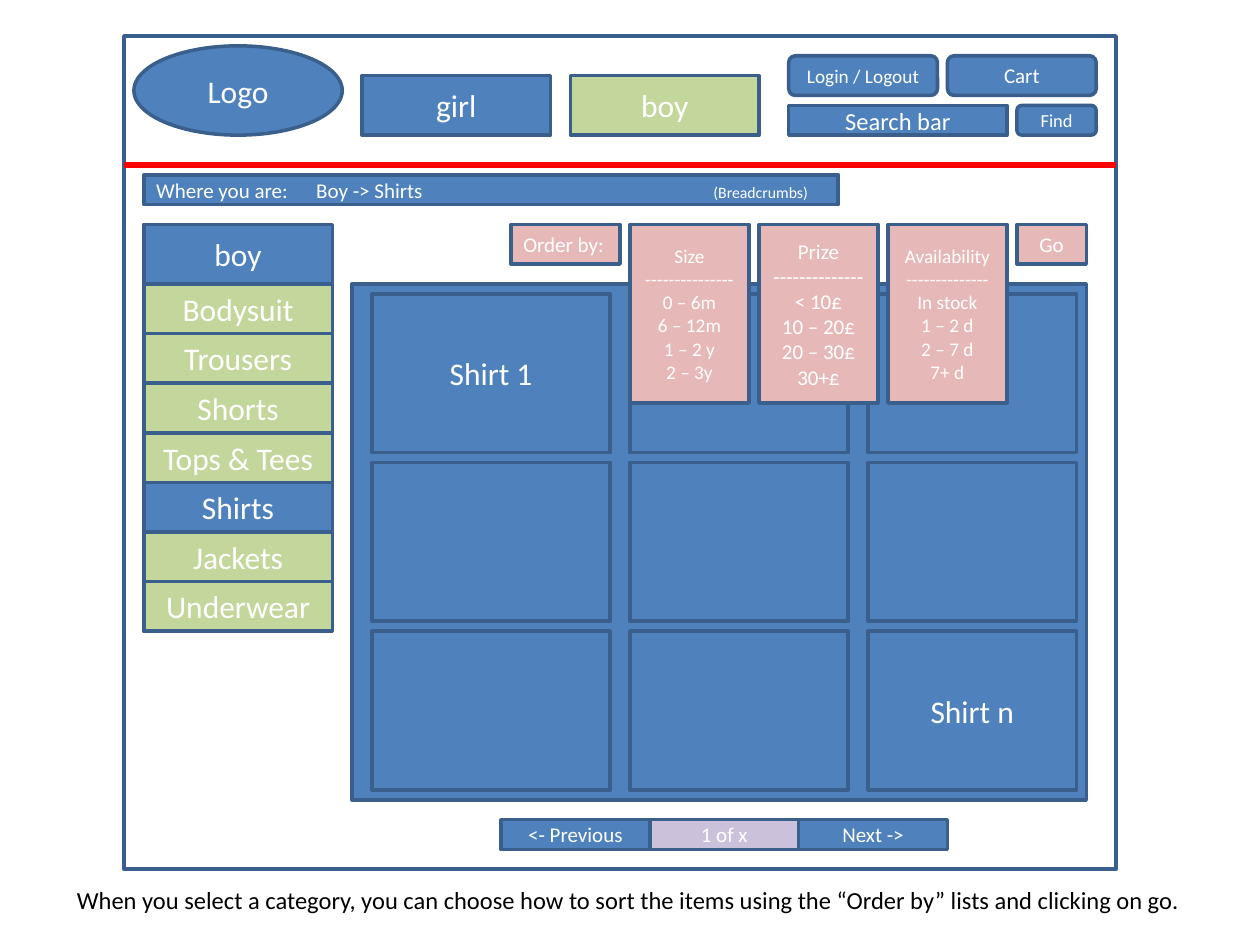
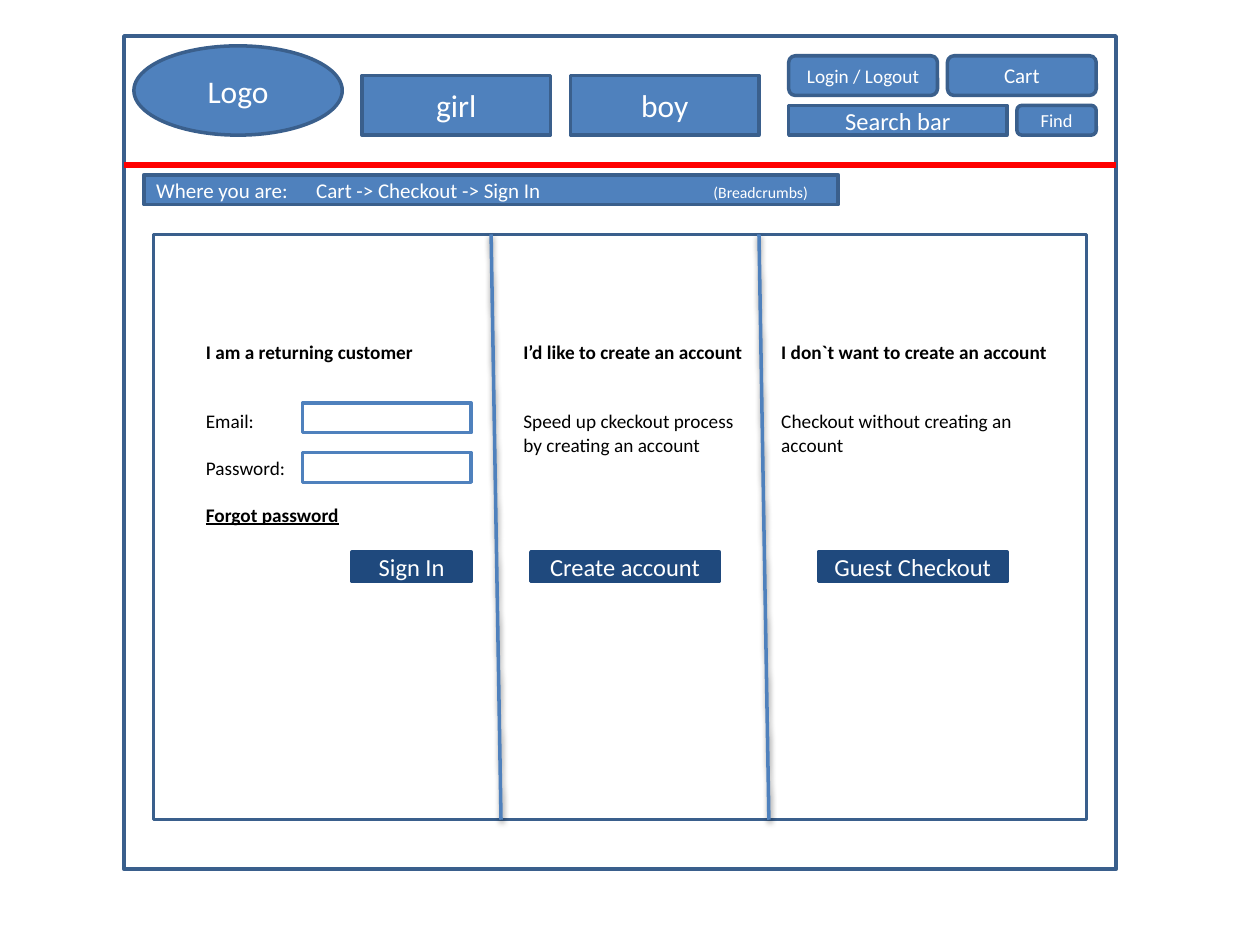
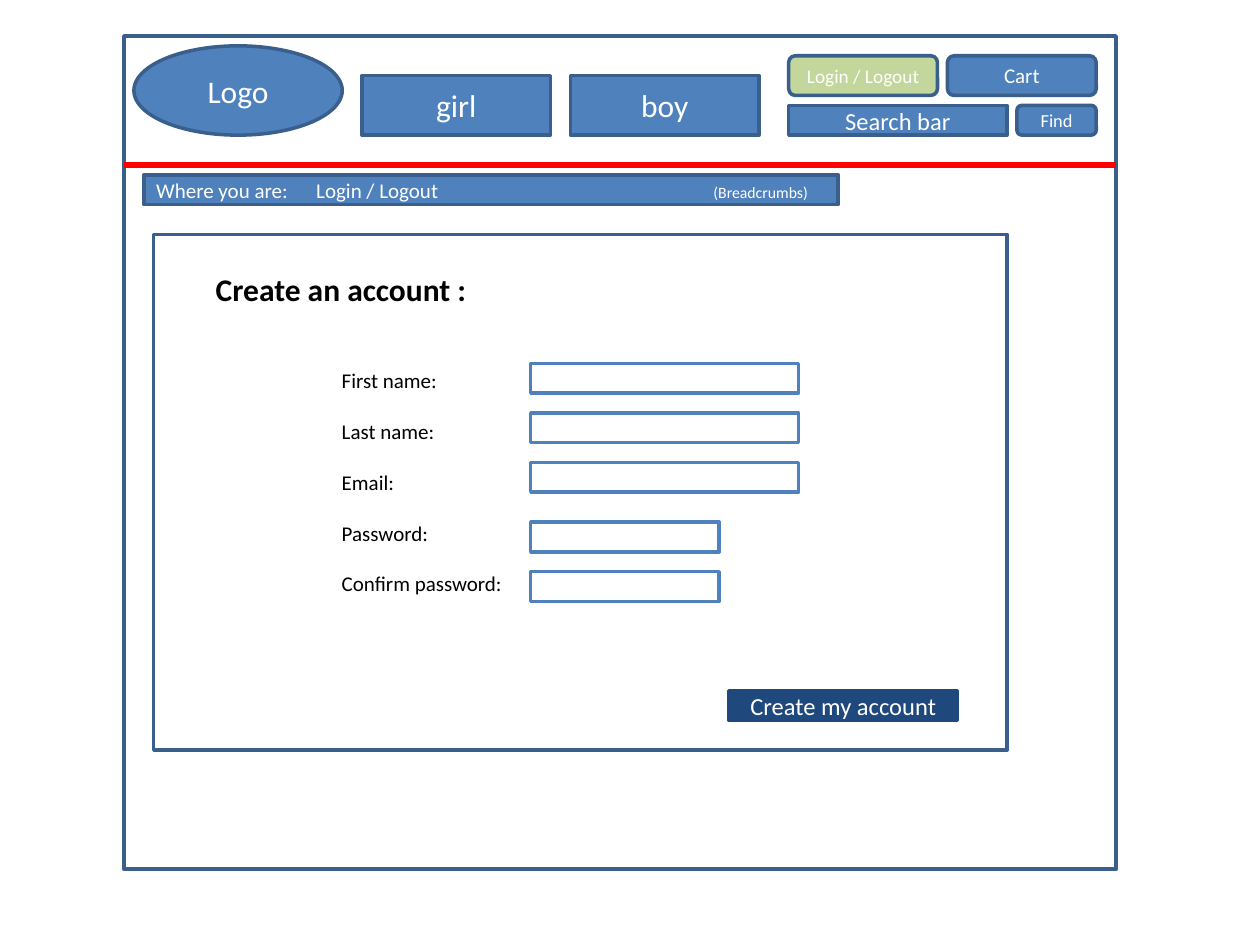
"""Wireframes of a children's clothes shop, laid out on one grid of square cells."""
from dataclasses import dataclass

import pptx
import pptx.dml.color
import pptx.enum.shapes
import pptx.enum.text
import pptx.oxml
import pptx.oxml.ns
import pptx.util

SHAPE = pptx.enum.shapes.MSO_SHAPE
ALIGN = pptx.enum.text.PP_ALIGN


@dataclass(frozen=True)
class Theme:
    """Colours, type sizes and line widths of the deck."""
    font: str = "Calibri"
    blue: str = "4F81BD"
    edge: str = "3A5F8C"
    navy: str = "1F497D"
    green: str = "C3D69B"
    pink: str = "E6B9B8"
    lilac: str = "CCC1DA"
    red: str = "FF0000"
    white: str = "FFFFFF"
    black: str = "000000"
    big: float = 18
    button: float = 14
    normal: float = 12
    small: float = 11
    find: float = 10.5
    tiny: float = 9
    line: float = 2
    rule: float = 3
    spacing: float = 1.22  # line height as a share of the type size


T = Theme()

# The page frame is 100 columns by 84 rows of 2 mm cells.
CELL, LEFT, TOP = 2, 25, 7.25
COLS, ROWS = 100, 84


def x(col):
    """Slide position of a column."""
    return pptx.util.Mm(LEFT + col * CELL)


def y(row):
    """Slide position of a row."""
    return pptx.util.Mm(TOP + row * CELL)


def area(col, row, cols, rows):
    """Left, top, width and height of a block of cells."""
    return x(col), y(row), pptx.util.Mm(cols * CELL), pptx.util.Mm(rows * CELL)


def rgb(colour):
    """Colour object for a hex string."""
    return pptx.dml.color.RGBColor.from_string(colour)


def add_run(p, text, size, colour, bold=False, underline=False):
    """Add one formatted run to a paragraph."""
    r = p.add_run()
    r.text = text
    r.font.name, r.font.size = T.font, pptx.util.Pt(size)
    r.font.color.rgb = rgb(colour)
    r.font.bold, r.font.underline = bold, underline


def add_box(shapes, cells, text="", size=T.big, fill=T.blue, line=T.edge,
            kind=SHAPE.RECTANGLE, align=ALIGN.CENTER):
    """Add an outlined shape; each line of the text is a paragraph."""
    sp = shapes.add_shape(kind, *area(*cells))
    sp.shadow.inherit = False
    if fill:
        sp.fill.solid()
        sp.fill.fore_color.rgb = rgb(fill)
    else:
        sp.fill.background()
    sp.line.color.rgb = rgb(line)
    sp.line.width = pptx.util.Pt(T.line)
    tf = sp.text_frame
    tf.word_wrap = True
    tf.vertical_anchor = pptx.enum.text.MSO_ANCHOR.MIDDLE
    for i, words in enumerate(text.split("\n") if text else []):
        p = tf.add_paragraph() if i else tf.paragraphs[0]
        p.alignment = align
        add_run(p, words, size, T.white)
    return sp


def add_field(s, col, row, cols):
    """Add an empty input field."""
    add_box(s.shapes, (col, row, cols, 3), fill=T.white, line=T.blue)


def add_button(s, col, row, cols, text):
    """Add a dark action button."""
    add_box(s.shapes, (col, row, cols, 3), text, T.button, T.navy, T.navy)


def add_text(s, cells, lines):
    """Add a text box from (text, size, blank points above, options) lines."""
    tf = s.shapes.add_textbox(*area(*cells)).text_frame
    tf.word_wrap = True
    tf.auto_size = pptx.enum.text.MSO_AUTO_SIZE.SHAPE_TO_FIT_TEXT
    for i, (text, size, gap, options) in enumerate(lines):
        p = tf.add_paragraph() if i else tf.paragraphs[0]
        p.space_before = pptx.util.Pt(round(gap * T.spacing, 1))
        add_run(p, text, size, T.black, **options)
    return tf


def add_line(s, start, end, colour, width, shadow=False):
    """Add a straight line between two grid points, with or without a shadow."""
    straight = pptx.enum.shapes.MSO_CONNECTOR.STRAIGHT
    line = s.shapes.add_connector(straight, x(start[0]), y(start[1]),
                                  x(end[0]), y(end[1]))
    line.line.color.rgb = rgb(colour)
    line.line.width = pptx.util.Pt(width)
    drop = ('<a:outerShdw blurRad="40000" dist="20000" dir="5400000" '
            f'rotWithShape="0"><a:srgbClr val="{T.black}"><a:alpha val="38000"/>'
            '</a:srgbClr></a:outerShdw>') if shadow else ""
    line._element.spPr.append(pptx.oxml.parse_xml(
        f'<a:effectLst {pptx.oxml.ns.nsdecls("a")}>{drop}</a:effectLst>'))


def add_breadcrumbs(s, trail):
    """Add the bar that tells where the visitor is."""
    sp = add_box(s.shapes, (2, 14, 70, 3))
    p = sp.text_frame.paragraphs[0]
    p.alignment = ALIGN.LEFT
    stops = "".join(f'<a:tab pos="{pptx.util.Inches(pos)}" algn="{side}"/>'
                    for pos, side in ((1.27, "l"), (5.2, "r")))
    p._p.get_or_add_pPr().append(pptx.oxml.parse_xml(
        f'<a:tabLst {pptx.oxml.ns.nsdecls("a")}>{stops}</a:tabLst>'))
    add_run(p, f"Where you are:\t{trail}\t", T.normal, T.white)
    add_run(p, "(Breadcrumbs) ", T.tiny, T.white)


def add_page(prs, trail, active=""):
    """Add a slide with the shop's frame, header and breadcrumbs."""
    s = prs.slides.add_slide(prs.slide_layouts.get_by_name("Blank"))
    add_box(s.shapes, (0, 0, COLS, ROWS), fill=None)
    header = (
        ("Logo", (1, 1, 21, 9), T.big, SHAPE.OVAL),
        ("girl", (24, 4, 19, 6), T.big, SHAPE.RECTANGLE),
        ("boy", (45, 4, 19, 6), T.big, SHAPE.RECTANGLE),
        ("Login / Logout", (67, 2, 15, 4), T.small, SHAPE.ROUNDED_RECTANGLE),
        ("Cart", (83, 2, 15, 4), T.normal, SHAPE.ROUNDED_RECTANGLE),
        ("Search bar", (67, 7, 22, 3), T.button, SHAPE.RECTANGLE),
        ("Find", (90, 7, 8, 3), T.find, SHAPE.ROUNDED_RECTANGLE),
    )
    for text, cells, size, kind in header:
        fill = T.green if text == active else T.blue
        add_box(s.shapes, cells, text, size, fill, kind=kind)
    add_line(s, (0, 13), (COLS, 13), T.red, T.rule)
    add_breadcrumbs(s, trail)
    return s


def add_categories(s, heading, names, chosen):
    """Add the side menu with the chosen category in blue."""
    col, row, cols, step = 2, 25, 19, 5
    add_box(s.shapes, (col, row, cols, step * len(names)), fill=T.green)
    add_box(s.shapes, (col, row - 6, cols, 6), heading)
    for i, name in enumerate(names):
        add_box(s.shapes, (col, row + i * step, cols, step), name,
                fill=T.blue if name == chosen else None)


def add_products(s, labels):
    """Add the panel of product tiles; labels are keyed by (row, column)."""
    add_box(s.shapes, (23, 25, 74, 52))
    for i in range(3):
        for j, (col, cols) in enumerate(((25, 24), (51, 22), (75, 21))):
            add_box(s.shapes, (col, 26 + i * 17, cols, 16), labels.get((i, j), ""))


def add_order_lists(s):
    """Add the group of lists that sort the products."""
    shapes = s.shapes.add_group_shape().shapes
    add_box(shapes, (39, 19, 11, 4), "Order by:", T.normal, T.pink, align=ALIGN.LEFT)
    lists = (
        (T.small, "Size", 15, "0 – 6m\n6 – 12m\n1 – 2 y\n2 – 3y"),
        (T.normal, "Prize", 14, "< 10£\n10 – 20£\n20 – 30£\n30+£"),
        (T.small, "Availability", 14, "In stock\n1 – 2 d\n2 – 7 d\n7+ d"),
    )
    for i, (size, name, dashes, choices) in enumerate(lists):
        add_box(shapes, (51 + i * 13, 19, 12, 18),
                f"{name}\n{'-' * dashes}\n{choices}", size, T.pink)
    add_box(shapes, (90, 19, 7, 4), "Go", T.normal, T.pink)


def category_page(prs):
    """Build the list of shirts."""
    s = add_page(prs, "Boy -> Shirts", active="boy")
    add_categories(s, "boy", ("Bodysuit", "Trousers", "Shorts", "Tops & Tees",
                              "Shirts", "Jackets", "Underwear"), "Shirts")
    pager = (("<- Previous", T.blue), ("1 of x", T.lilac), ("Next ->", T.blue))
    for i, (text, fill) in enumerate(pager):
        add_box(s.shapes, (38 + i * 15, 79, 15, 3), text, T.normal, fill)
    add_products(s, {(0, 0): "Shirt 1", (2, 2): "Shirt n"})
    add_order_lists(s)
    add_text(s, (-6, 85, 117, 4.3), [(
        "When you select a category, you can choose how to sort the items using "
        "the “Order by” lists and clicking on go.", T.button, 0, {})])


def sign_in_page(prs):
    """Build the three ways to check out."""
    s = add_page(prs, "Cart -> Checkout -> Sign In")
    add_box(s.shapes, (3, 20, 94, 59), fill=T.white)
    size, bold = T.small, {"bold": True}
    add_text(s, (7, 30, 27, 20), [
        ("I am a returning customer", size, 0, bold),
        ("Email: ", size, 2 * size, {}),
        ("Password:", size, size, {}),
        ("Forgot password", size, size, {"bold": True, "underline": True})])
    for row in (37, 42):
        add_field(s, 18, row, 17)
    add_button(s, 23, 52, 12, "Sign In")
    choices = (
        (39, 26, "I’d like to create an account",
         "Speed up ckeckout process by creating an account", 41, "Create account"),
        (65, 30, "I don`t want to create an account ",
         "Checkout without creating an account", 70, "Guest Checkout"),
    )
    for col, cols, heading, body, button_col, button in choices:
        add_text(s, (col, 30, cols, 13), [(heading, size, 0, bold),
                                          (body, size, 2 * size, {})])
        add_button(s, button_col, 52, 19, button)
    for col in (37, 64):
        add_line(s, (col, 20), (col + 1, 79), T.blue, T.line, shadow=True)


def account_page(prs):
    """Build the form for a new account."""
    s = add_page(prs, "Login / Logout", active="Login / Logout")
    add_box(s.shapes, (3, 20, 86, 52), fill=T.white)
    labels = ("First name:", "Last name:", "Email:", "Password:", "Confirm password:")
    lines = [("Create an account :", T.big, 0, {"bold": True})]
    lines += [(label, T.normal, T.normal if i else 28, {})
              for i, label in enumerate(labels)]
    tf = add_text(s, (8, 23, 81, 40.6), lines)
    for p in tf.paragraphs[1:]:
        p._p.get_or_add_pPr().set("marL", str(pptx.util.Inches(1)))
    for row, cols in ((33, 27), (38, 27), (43, 27), (49, 19), (54, 19)):
        add_field(s, 41, row, cols)
    add_button(s, 61, 66, 23, "Create my account")


def main():
    """Build and save the deck."""
    prs = pptx.Presentation()
    prs.slide_width, prs.slide_height = pptx.util.Inches(10), pptx.util.Inches(7.5)
    category_page(prs)
    sign_in_page(prs)
    account_page(prs)
    prs.save("out.pptx")


main()
